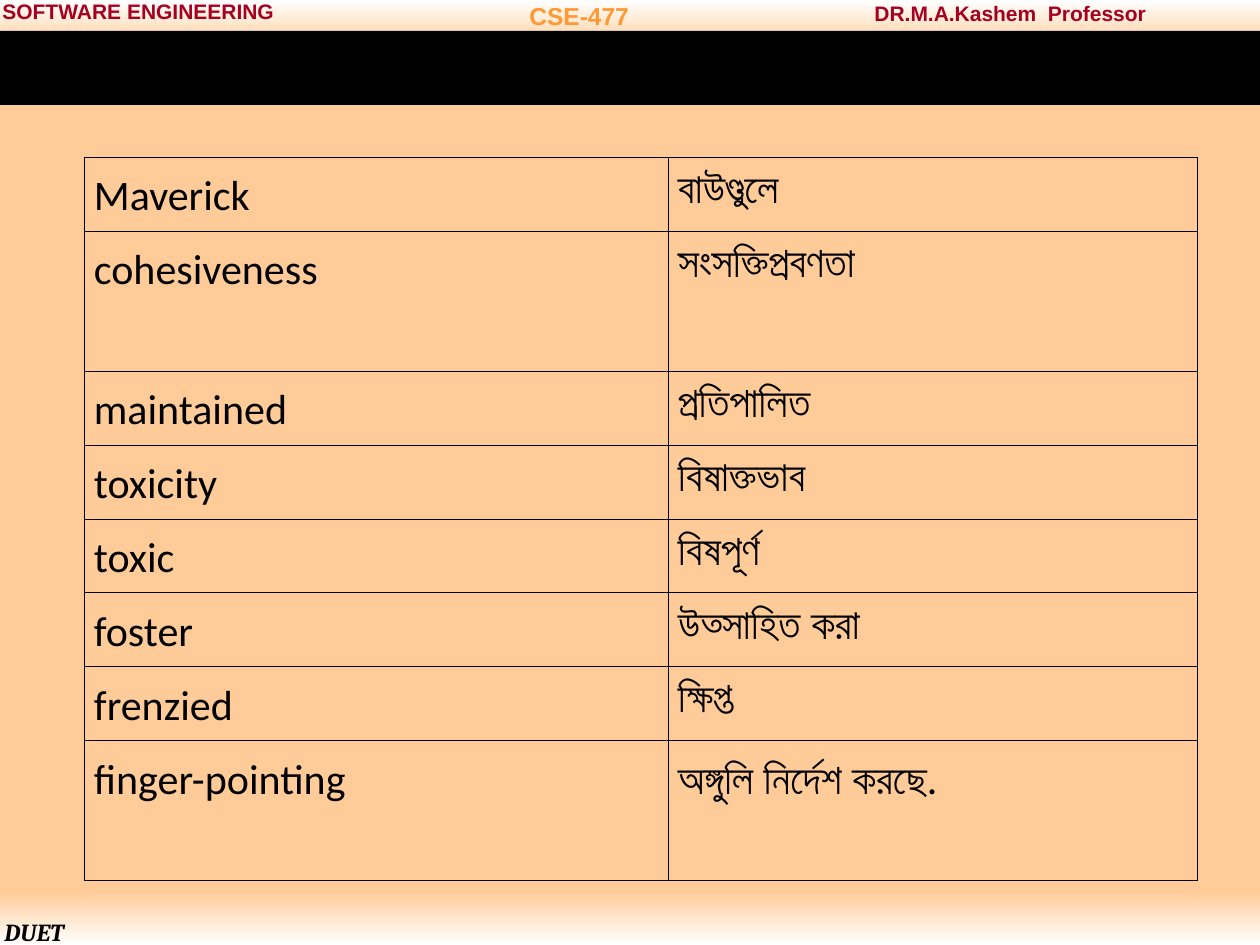
from lxml import etree
from pptx import Presentation
from pptx import util as u
from pptx.dml.color import RGBColor
from pptx.enum import shapes
from pptx.oxml.ns import qn

PX = 914400 / 126
COLORS = {"peach": "FFCC99", "white": "FFFFFF", "black": "000000",
          "red": "A50021", "orange": "FF9933"}


def px(*values):
    return [u.Emu(round(v * PX)) for v in values]


def add_run(p, words, size, font, color):
    r = p.add_run()
    r.text = words
    r.font.size = u.Pt(size)
    r.font.name = font
    r.font.color.rgb = RGBColor.from_string(COLORS[color])
    return r


prs = Presentation()
prs.slide_width, prs.slide_height = px(1260, 945)
s = prs.slides.add_slide(prs.slide_layouts[6])

# Background bands: top, height, colours from top to bottom
bands = [(95, 803, ["peach"]), (891, 54, ["peach", "white"]),
         (0, 48, ["white", "peach"]), (31, 74, ["black"])]
for top, height, colors in bands:
    sp = s.shapes.add_shape(shapes.MSO_SHAPE.RECTANGLE, *px(0, top, 1260, height))
    sp.shadow.inherit = False
    sp.line.fill.background()
    if len(colors) == 1:
        sp.fill.solid()
        sp.fill.fore_color.rgb = RGBColor.from_string(COLORS[colors[0]])
    else:
        sp.fill.gradient()
        sp.fill.gradient_angle = 270
        for stop, color in zip(sp.fill.gradient_stops, colors):
            stop.color.rgb = RGBColor.from_string(COLORS[color])

# Header and footer labels
labels = [
    ("DUET", (-8, 911, 93, 43), 14, "Cambria", "black", True),
    ("DR.M.A.Kashem  Professor", (862, -6, 297, 38), 12, "Arial", "red", False),
    ("SOFTWARE ENGINEERING", (-10, -8, 297, 38), 12, "Arial", "red", False),
    ("CSE-477", (517, -5, 125, 43), 14, "Arial", "orange", False),
]
for words, box, size, font, color, italic in labels:
    tf = s.shapes.add_textbox(*px(*box)).text_frame
    tf.word_wrap = False
    r = add_run(tf.paragraphs[0], words, size, font, color)
    r.font.bold = True
    r.font.italic = italic

# Vocabulary table
words = [
    ("Maverick", "বাউণ্ডুলে"),
    ("cohesiveness", "সংসক্তিপ্রবণতা"),
    ("maintained", "প্রতিপালিত"),
    ("toxicity", "বিষাক্তভাব"),
    ("toxic", "বিষপূর্ণ"),
    ("foster", "উত্সাহিত করা"),
    ("frenzied", "ক্ষিপ্ত"),
    ("finger-pointing", "অঙ্গুলি নির্দেশ করছে."),
]
heights = [74, 140, 74, 74, 74, 74, 74, 140]
widths = [584, 529]
table = s.shapes.add_table(len(words), 2, *px(84, 157, sum(widths), sum(heights))).table
table.first_row = table.horz_banding = False
for column, width in zip(table.columns, px(*widths)):
    column.width = width
for row, height, pair in zip(table.rows, px(*heights), words):
    row.height = height
    for cell, word in zip(row.cells, pair):
        cell.margin_left, cell.margin_right = px(10, 10)
        p = cell.text_frame.paragraphs[0]
        p.line_spacing = 1.15
        add_run(p, word, 24, "Calibri", "black")
        # Thin border on every side, no fill
        tcPr = cell._tc.get_or_add_tcPr()
        for side in ("lnL", "lnR", "lnT", "lnB"):
            ln = etree.SubElement(tcPr, qn(f"a:{side}"), w=str(u.Pt(0.45)))
            fill = etree.SubElement(ln, qn("a:solidFill"))
            etree.SubElement(fill, qn("a:srgbClr"), val=COLORS["black"])
        cell.fill.background()

prs.save("out.pptx")
